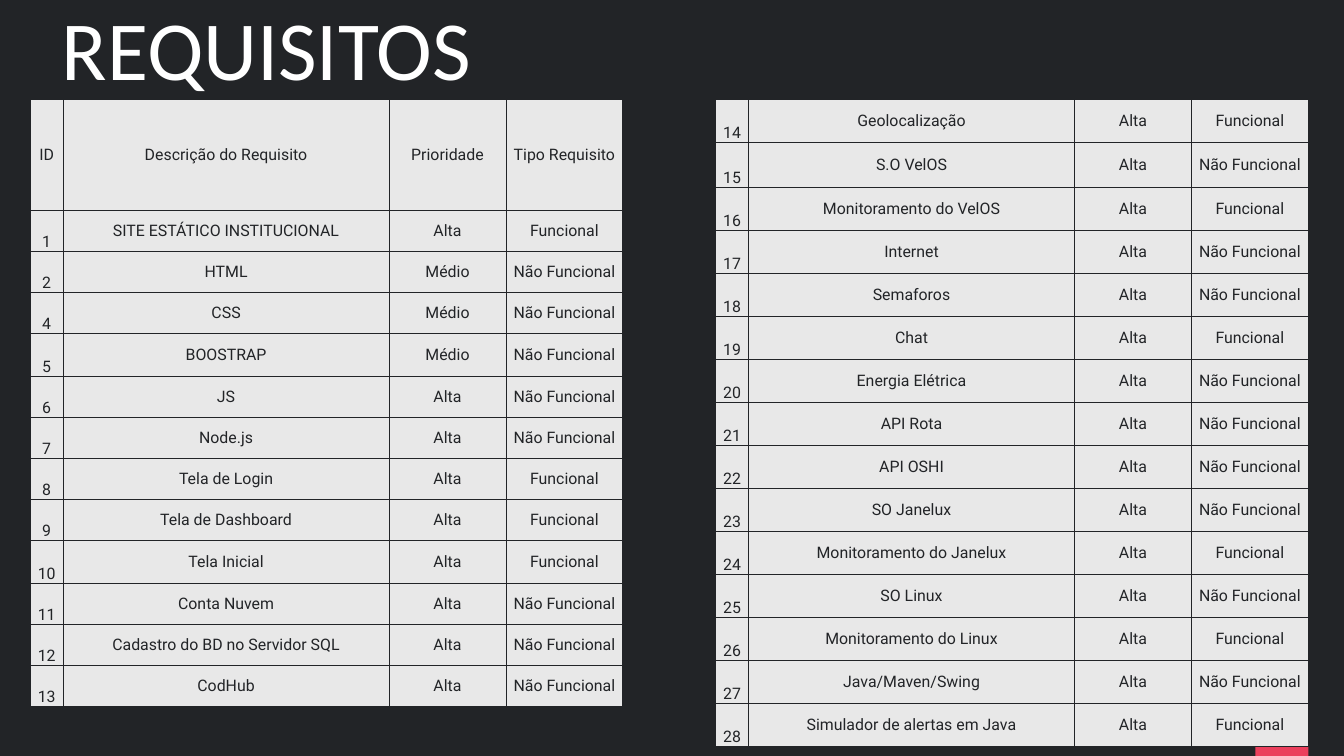
from lxml.etree import SubElement
from pptx import Presentation
from pptx.dml.color import RGBColor
from pptx.enum.shapes import MSO_SHAPE
from pptx.enum.text import MSO_ANCHOR, PP_ALIGN
from pptx.oxml.ns import qn
from pptx.util import Inches, Pt

DARK = RGBColor(0x22, 0x24, 0x27)
LIGHT = RGBColor(0xE8, 0xE8, 0xE8)
WHITE = RGBColor(0xFF, 0xFF, 0xFF)
PINK = RGBColor(0xEB, 0x3F, 0x5C)

TITLE = "REQUISITOS"
HEADER = ("ID", "Descrição do Requisito", "Prioridade", "Tipo Requisito")
FUNC, NON_FUNC = "Funcional", "Não Funcional"
LEFT_ROWS = [
    HEADER,
    ("1", "SITE ESTÁTICO INSTITUCIONAL", "Alta", FUNC),
    ("2", "HTML", "Médio", NON_FUNC),
    ("4", "CSS", "Médio", NON_FUNC),
    ("5", "BOOSTRAP", "Médio", NON_FUNC),
    ("6", "JS", "Alta", NON_FUNC),
    ("7", "Node.js", "Alta", NON_FUNC),
    ("8", "Tela de Login", "Alta", FUNC),
    ("9", "Tela de Dashboard", "Alta", FUNC),
    ("10", "Tela Inicial", "Alta", FUNC),
    ("11", "Conta Nuvem", "Alta", NON_FUNC),
    ("12", "Cadastro do BD no Servidor SQL", "Alta", NON_FUNC),
    ("13", "CodHub", "Alta", NON_FUNC),
]
RIGHT_ROWS = [
    ("14", "Geolocalização", "Alta", FUNC),
    ("15", "S.O VelOS", "Alta", NON_FUNC),
    ("16", "Monitoramento do VelOS", "Alta", FUNC),
    ("17", "Internet", "Alta", NON_FUNC),
    ("18", "Semaforos", "Alta", NON_FUNC),
    ("19", "Chat", "Alta", FUNC),
    ("20", "Energia Elétrica", "Alta", NON_FUNC),
    ("21", "API Rota", "Alta", NON_FUNC),
    ("22", "API OSHI", "Alta", NON_FUNC),
    ("23", "SO Janelux", "Alta", NON_FUNC),
    ("24", "Monitoramento do Janelux", "Alta", FUNC),
    ("25", "SO Linux", "Alta", NON_FUNC),
    ("26", "Monitoramento do Linux", "Alta", FUNC),
    ("27", "Java/Maven/Swing", "Alta", NON_FUNC),
    ("28", "Simulador de alertas em Java", "Alta", FUNC),
]
COL_WIDTHS = (0.49, 4.85, 1.74, 1.74)
TABLE_TOP = 1.48
TABLES = [
    (0.45, LEFT_ROWS, 0.61, {0: 1.65, 4: 0.64, 9: 0.64}),
    (10.65, RIGHT_ROWS, 0.64, {1: 0.67}),
]


def add_text(p, text, font, size, color, align):
    p.alignment = align
    r = p.add_run()
    r.text = text
    r.font.name = font
    r.font.size = Pt(size)
    r.font.color.rgb = color


def add_borders(cell):
    props = cell._tc.get_or_add_tcPr()
    for i, side in enumerate(("a:lnL", "a:lnR", "a:lnT", "a:lnB")):
        ln = props.makeelement(qn(side), {"w": str(Pt(1))})
        fill = SubElement(ln, qn("a:solidFill"))
        SubElement(fill, qn("a:srgbClr"), val=str(DARK))
        props.insert(i, ln)


def fill_cell(cell, text, anchor):
    cell.fill.solid()
    cell.fill.fore_color.rgb = LIGHT
    cell.margin_left = cell.margin_right = cell.margin_top = Inches(0.01)
    cell.margin_bottom = 0
    cell.vertical_anchor = anchor
    add_text(cell.text_frame.paragraphs[0], text, "Roboto", 17, DARK, PP_ALIGN.CENTER)
    add_borders(cell)


def add_requirements(s, left, rows, row_height, special_heights):
    heights = [special_heights.get(i, row_height) for i in range(len(rows))]
    table = s.shapes.add_table(
        len(rows), len(COL_WIDTHS), Inches(left), Inches(TABLE_TOP),
        Inches(sum(COL_WIDTHS)), Inches(sum(heights))).table
    table.first_row = table.horz_banding = False
    for col, width in zip(table.columns, COL_WIDTHS):
        col.width = Inches(width)
    for i, (row, height) in enumerate(zip(rows, heights)):
        table.rows[i].height = Inches(height)
        for j, text in enumerate(row):
            is_id = j == 0 and row is not HEADER
            fill_cell(table.cell(i, j), text, MSO_ANCHOR.BOTTOM if is_id else MSO_ANCHOR.MIDDLE)


prs = Presentation()
prs.slide_width, prs.slide_height = Inches(20), Inches(11.25)
s = prs.slides.add_slide(prs.slide_layouts[6])
s.background.fill.solid()
s.background.fill.fore_color.rgb = DARK

sp = s.shapes.add_shape(MSO_SHAPE.RECTANGLE, Inches(18.68), Inches(10.45), Inches(0.79), Inches(0.8))
sp.shadow.inherit = False
sp.fill.solid()
sp.fill.fore_color.rgb = PINK
sp.line.fill.background()

tf = s.shapes.add_textbox(Inches(-1.72), Inches(-0.62), Inches(8.83), Inches(2.11)).text_frame
tf.word_wrap = True
tf.vertical_anchor = MSO_ANCHOR.BOTTOM
p = tf.paragraphs[0]
p.line_spacing = 0.8
add_text(p, TITLE, "Calibri", 90, WHITE, PP_ALIGN.RIGHT)

for left, rows, row_height, special_heights in TABLES:
    add_requirements(s, left, rows, row_height, special_heights)

prs.save("out.pptx")
